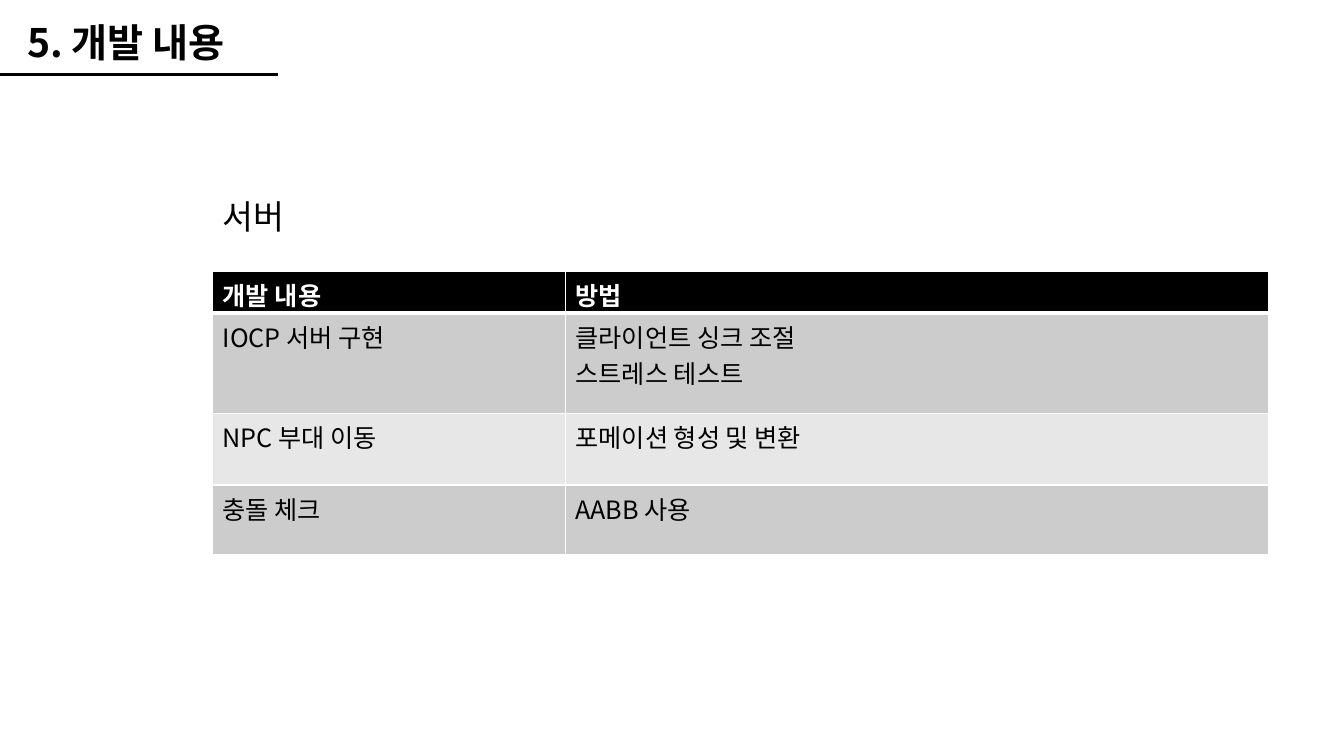
from dataclasses import dataclass

from lxml.etree import SubElement
from pptx import Presentation
from pptx.dml.color import RGBColor
from pptx.enum.shapes import MSO_CONNECTOR
from pptx.enum.text import MSO_ANCHOR, MSO_AUTO_SIZE, PP_ALIGN
from pptx.oxml.ns import qn
from pptx.util import Pt


@dataclass(frozen=True)
class Theme:
    font: str = "Noto Sans CJK KR"
    black: RGBColor = RGBColor(0, 0, 0)
    white: RGBColor = RGBColor(255, 255, 255)
    dark: RGBColor = RGBColor(0xCC, 0xCC, 0xCC)
    light: RGBColor = RGBColor(0xE7, 0xE7, 0xE7)
    title: Pt = Pt(28)
    label: Pt = Pt(24)
    cell: Pt = Pt(18)


theme = Theme()


def write(frame, text, size, color, bold=False):
    """Fill the frame, one paragraph a line, with Latin and Korean type alike."""
    frame.text = text
    look = {"name": theme.font, "size": size, "bold": bold}
    for para in frame.paragraphs:
        para.alignment = PP_ALIGN.LEFT
        for run in para.runs:
            for key, value in look.items():
                setattr(run.font, key, value)
            run.font.color.rgb = color
            SubElement(run.font._element, qn("a:ea"), typeface=theme.font)


def border(cell, side, width):
    edge = SubElement(cell._tc.get_or_add_tcPr(), qn(f"a:ln{side}"), w=str(Pt(width)))
    fill = SubElement(edge, qn("a:solidFill"))
    SubElement(fill, qn("a:srgbClr"), val=str(theme.white))


deck = Presentation()
deck.slide_width, deck.slide_height = Pt(960), Pt(540)
slide = deck.slides.add_slide(deck.slide_layouts[5])
shapes = slide.shapes

# Heading and its rule
rule = shapes.add_connector(MSO_CONNECTOR.STRAIGHT, 0, Pt(53.3), Pt(198.7), Pt(53.3))
rule.line.color.rgb = theme.black
rule.line.width = Pt(2.5)
SubElement(rule._element.spPr, qn("a:effectLst"))

title = shapes.title
label = shapes.add_textbox(0, 0, 0, 0)
heads = [
    (title, (12.2, 9.4, 188, 41), "5. 개발 내용", theme.title, True),
    (label, (151.9, 136.5, 262, 36), "서버", theme.label, False),
]
for shape, box, text, size, bold in heads:
    shape.left, shape.top, shape.width, shape.height = map(Pt, box)
    frame = shape.text_frame
    layout = {
        "word_wrap": True,
        "auto_size": MSO_AUTO_SIZE.NONE,
        "vertical_anchor": MSO_ANCHOR.MIDDLE,
    }
    for key, value in layout.items():
        setattr(frame, key, value)
    write(frame, text, size, theme.black, bold)

# Table of server work
rows = [
    ("개발 내용", "방법"),
    ("IOCP 서버 구현", "클라이언트 싱크 조절\n스트레스 테스트"),
    ("NPC 부대 이동", "포메이션 형성 및 변환"),
    ("충돌 체크", "AABB 사용"),
]
widths = [252, 502]
heights = [29, 72, 51, 50]
table = shapes.add_table(
    len(rows), len(widths), Pt(151.9), Pt(193.7), Pt(sum(widths)), Pt(sum(heights))
).table
for column, width in zip(table.columns, widths):
    column.width = Pt(width)

for r, texts in enumerate(rows):
    table.rows[r].height = Pt(heights[r])
    head = r == 0
    band = theme.black if head else theme.dark if r % 2 else theme.light
    for c, text in enumerate(texts):
        cell = table.cell(r, c)
        for side in "LRTB":
            thick = head and side == "B" or r == 1 and side == "T"
            border(cell, side, 3 if thick else 1)
        cell.fill.solid()
        cell.fill.fore_color.rgb = band
        cell.margin_top = Pt(3.6)
        cell.margin_bottom = Pt(0 if head else 3.6)
        ink = theme.white if head else theme.black
        write(cell.text_frame, text, theme.cell, ink, head)

deck.save("out.pptx")
